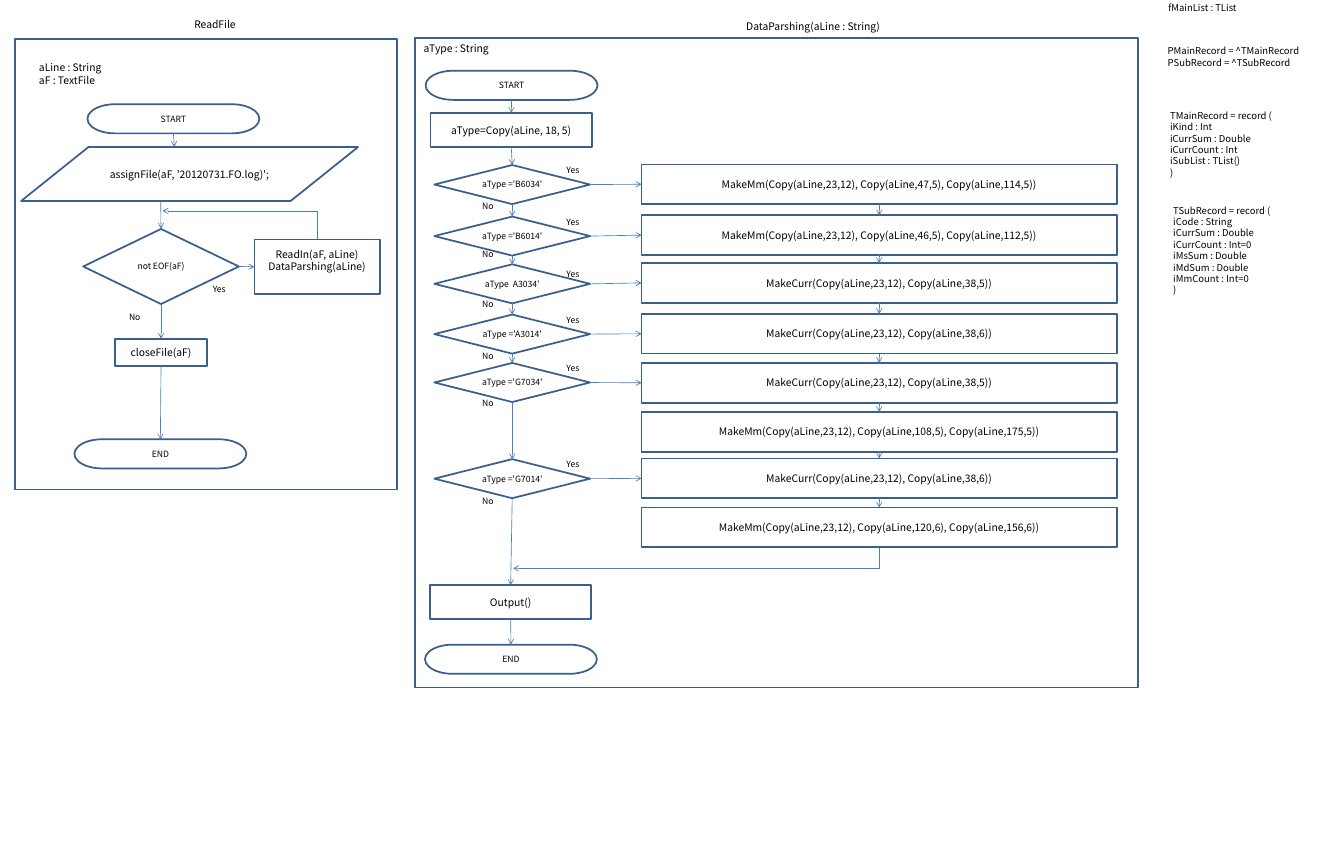
from dataclasses import dataclass
from itertools import pairwise

from pptx import Presentation
from pptx.dml.color import RGBColor
from pptx.enum import shapes, text
from pptx.oxml import xmlchemy
from pptx.util import Inches, Pt


@dataclass(frozen=True)
class Theme:
    font: str = "Noto Sans CJK KR"
    ink: RGBColor = RGBColor(0x00, 0x00, 0x00)
    outline: RGBColor = RGBColor(0x3A, 0x5F, 0x8C)
    flow: RGBColor = RGBColor(0x4B, 0x7E, 0xBC)
    outline_width: float = 2
    flow_width: float = 0.75
    small: int = 10
    code: int = 11
    normal: int = 12


THEME = Theme()
KIND = shapes.MSO_SHAPE
TOP, LEFT, BOTTOM, RIGHT = range(4)
TERMINATOR = (2.77, 0.47)
DECISION = (2.51, 0.63)
STEP = (2.6, 0.55)
CALL = (7.66, 0.64)
ANSWER = (0.4, 0.17)
BLANK_LINE = 0.2


class Region:
    def __init__(self, slide, left, top):
        self.shapes = slide.shapes
        self.left, self.top = left, top

    def place(self, x, y):
        return Inches(self.left + x), Inches(self.top + y)

    def set_wording(self, holder, wording, size, align, anchor, insets):
        frame = holder.text_frame
        frame.word_wrap = True
        frame.vertical_anchor = anchor
        (frame.margin_left, frame.margin_top,
         frame.margin_right, frame.margin_bottom) = map(Inches, insets)
        frame.text = wording
        for paragraph in frame.paragraphs:
            paragraph.alignment = align
            paragraph.font.name = THEME.font
            paragraph.font.size = Pt(size)
            paragraph.font.color.rgb = THEME.ink

    def node(self, kind, at, size, wording="", points=THEME.normal, bottom=0):
        node = self.shapes.add_shape(kind, *self.place(*at), *map(Inches, size))
        node.shadow.inherit = False
        node.fill.background()
        node.line.color.rgb = THEME.outline
        node.line.width = Pt(THEME.outline_width)
        if wording:
            self.set_wording(node, wording, points, text.PP_ALIGN.CENTER,
                             text.MSO_ANCHOR.MIDDLE, (0, 0, 0, bottom))
        return node

    def label(self, at, size, wording, points=THEME.normal, insets=(0.1, 0.05, 0.1, 0.05)):
        box = self.shapes.add_textbox(*self.place(*at), *map(Inches, size))
        self.set_wording(box, wording, points, text.PP_ALIGN.LEFT,
                         text.MSO_ANCHOR.TOP, insets)

    def answer(self, at, wording):
        self.label(at, ANSWER, wording, THEME.small, (0, 0, 0, 0))

    def title(self, at, size, wording, top=0):
        box = self.shapes.add_textbox(*self.place(*at), *map(Inches, size))
        self.set_wording(box, wording, THEME.normal, text.PP_ALIGN.CENTER,
                         text.MSO_ANCHOR.MIDDLE, (0, top, 0, 0))

    def style_flow(self, flow):
        flow.line.color.rgb = THEME.flow
        flow.line.width = Pt(THEME.flow_width)
        head = xmlchemy.OxmlElement("a:tailEnd")
        head.set("type", "arrow")
        flow.line._get_or_add_ln().append(head)
        flow._element.spPr.append(xmlchemy.OxmlElement("a:effectLst"))

    def arrow(self, source, target, sides=(BOTTOM, TOP)):
        points = [self.place(*end) if isinstance(end, tuple) else (end.left, end.top)
                  for end in (source, target)]
        flow = self.shapes.add_connector(
            shapes.MSO_CONNECTOR.STRAIGHT, *points[0], *points[1])
        if not isinstance(source, tuple):
            flow.begin_connect(source, sides[0])
        if not isinstance(target, tuple):
            flow.end_connect(target, sides[1])
        self.style_flow(flow)

    def turn_left(self, start, end):
        run, rise = start[0] - end[0], abs(end[1] - start[1])
        x = (start[0] + end[0] - rise) / 2
        y = (start[1] + end[1] - run) / 2
        flow = self.shapes.add_connector(
            shapes.MSO_CONNECTOR.ELBOW, *self.place(x, y), *self.place(x + rise, y + run))
        properties = flow._element.spPr
        properties.prstGeom.set("prst", "bentConnector2")
        upward = end[1] < start[1]
        properties.xfrm.set("rot", str((270 if upward else 90) * 60000))
        if upward:
            properties.xfrm.set("flipV", "1")
        self.style_flow(flow)


def read_file(slide, left, top):
    area = Region(slide, left, top)
    area.node(KIND.RECTANGLE, (0, 0), (6.16, 7.26))
    area.title((0, -0.35), (6.45, 0.22), "ReadFile")
    area.label((0.29, 0.31), (1.64, 0.5), "aLine : String\naF : TextFile")

    start = area.node(KIND.FLOWCHART_TERMINATOR, (1.17, 1.05), TERMINATOR, "START", THEME.small)
    area.node(KIND.FLOWCHART_DATA, (0.1, 1.74), (5.43, 0.87),
              "assignFile(aF, '20120731.FO.log)';")
    more = area.node(KIND.FLOWCHART_DECISION, (1.1, 3.06), (2.51, 1.21),
                     "not EOF(aF)", THEME.small)
    read = area.node(KIND.RECTANGLE, (3.86, 3.23), (2.02, 0.88),
                     "ReadIn(aF, aLine)\nDataParshing(aLine)", bottom=BLANK_LINE)
    close = area.node(KIND.RECTANGLE, (1.61, 4.83), (1.49, 0.44), "closeFile(aF)")
    end = area.node(KIND.FLOWCHART_TERMINATOR, (0.96, 6.45), TERMINATOR, "END", THEME.small)

    area.answer((3.19, 3.95), "Yes")
    area.answer((1.84, 4.39), "No")
    area.arrow(start, (2.57, 1.74))
    area.arrow((2.35, 2.62), more)
    area.arrow(more, read, (RIGHT, LEFT))
    area.turn_left((4.87, 3.23), (2.38, 2.77))
    area.arrow(more, close)
    area.arrow(close, end)


def data_parsing(slide, left, top):
    area = Region(slide, left, top)
    area.node(KIND.RECTANGLE, (0, 0), (11.65, 10.47))
    area.title((1.19, -0.53), (10.45, 0.5), "DataParshing(aLine : String)", BLANK_LINE)
    area.label((0.04, 0.02), (3.23, 0.3), "aType : String")

    calls = [area.node(KIND.RECTANGLE, (3.65, y), CALL, f"{name}(Copy(aLine,23,12), {rest})")
             for y, name, rest in (
                 (2.04, "MakeMm", "Copy(aLine,47,5), Copy(aLine,114,5)"),
                 (2.86, "MakeMm", "Copy(aLine,46,5), Copy(aLine,112,5)"),
                 (3.63, "MakeCurr", "Copy(aLine,38,5)"),
                 (4.45, "MakeCurr", "Copy(aLine,38,6)"),
                 (5.24, "MakeCurr", "Copy(aLine,38,5)"),
                 (6.03, "MakeMm", "Copy(aLine,108,5), Copy(aLine,175,5)"),
                 (6.78, "MakeCurr", "Copy(aLine,38,6)"),
                 (7.57, "MakeMm", "Copy(aLine,120,6), Copy(aLine,156,6)"))]

    decisions = []
    for y, yes, no, code, call in (
            (2.05, 2.04, 2.63, "='B6034'", 0),
            (2.88, 2.88, 3.4, "='B6014'", 1),
            (3.65, 3.72, 4.21, " A3034'", 2),
            (4.46, 4.46, 5.04, "='A3014'", 3),
            (5.24, 5.24, 5.81, "='G7034'", 4),
            (6.79, 6.78, 7.38, "='G7014'", 6)):
        decision = area.node(KIND.FLOWCHART_DECISION, (0.31, y), DECISION,
                             f"aType {code}", THEME.small)
        area.answer((2.44, yes), "Yes")
        area.answer((1.08, no), "No")
        area.arrow(decision, calls[call], (RIGHT, LEFT))
        decisions.append(decision)

    start = area.node(KIND.FLOWCHART_TERMINATOR, (0.17, 0.53), TERMINATOR, "START", THEME.small)
    get_type = area.node(KIND.RECTANGLE, (0.25, 1.21), STEP, "aType=Copy(aLine, 18, 5)")
    output = area.node(KIND.RECTANGLE, (0.24, 8.82), STEP, "Output()")
    end = area.node(KIND.FLOWCHART_TERMINATOR, (0.16, 9.78), TERMINATOR, "END", THEME.small)

    for chain in ([start, get_type, *decisions, output, end], calls):
        for source, target in pairwise(chain):
            area.arrow(source, target)
    area.turn_left((7.48, 8.22), (1.58, 8.55))


def declarations(slide, left, top):
    area = Region(slide, left, top)
    for at, size, lines in (
            ((0.01, -0.01), (2.67, 0.29), ["fMainList : TList"]),
            ((0, 0.68), (2.38, 0.47),
             ["PMainRecord = ^TMainRecord", "PSubRecord = ^TSubRecord"]),
            ((0.04, 1.72), (2.33, 1.21),
             ["TMainRecord = record (", "iKind : Int", "iCurrSum : Double",
              "iCurrCount : Int", "iSubList : TList()", ")"]),
            ((0.09, 3.25), (2.33, 1.58),
             ["TSubRecord = record (", "iCode : String", "iCurrSum : Double",
              "iCurrCount : Int=0", "iMsSum : Double", "iMdSum : Double",
              "iMmCount : Int=0", ")"])):
        area.label(at, size, "\n".join(lines), THEME.code)


def main():
    deck = Presentation()
    deck.slide_width, deck.slide_height = Inches(21.66), Inches(13.78)
    slide = deck.slides.add_slide(deck.slide_layouts[6])
    read_file(slide, 0.24, 0.63)
    data_parsing(slide, 6.69, 0.61)
    declarations(slide, 18.72, 0)
    deck.save("out.pptx")


if __name__ == "__main__":
    main()
